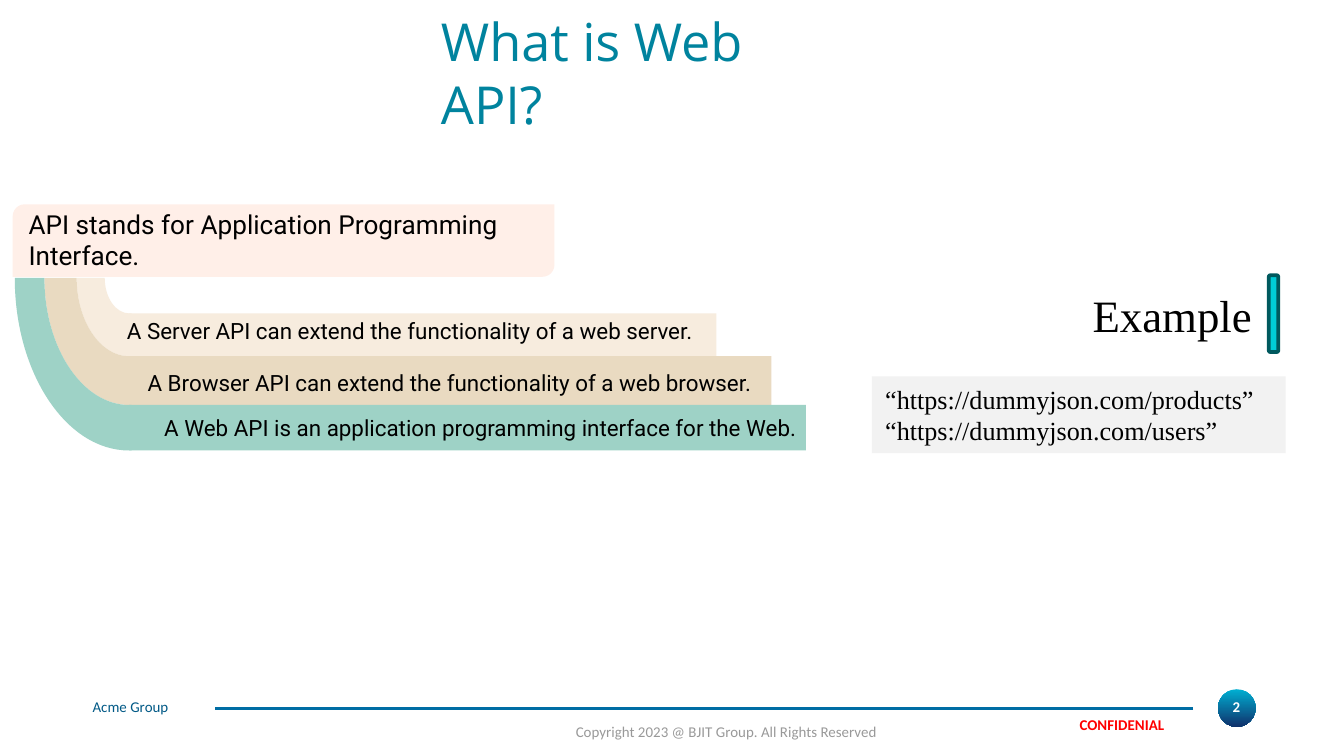
"""Build the slide that explains what a Web API is."""
from lxml.etree import SubElement
from pptx import Presentation
from pptx.dml.color import RGBColor
from pptx.enum.shapes import MSO_CONNECTOR, MSO_SHAPE
from pptx.enum.text import MSO_ANCHOR, MSO_AUTO_SIZE, PP_ALIGN
from pptx.oxml.ns import qn
from pptx.util import Cm, Pt

COLORS = {
    "title": "00839E", "text": "000000", "white": "FFFFFF", "red": "FF0000",
    "gray": "999999", "brand": "005986", "rule": "006DA4", "box": "F2F2F2",
    "cyan": "00CCD7", "edge": "00595E", "peach": "FFD6C4", "cream": "F7ECDE",
    "sand": "E9DAC1", "mint": "9ED2C6", "top": "00AFD2", "bottom": "10316B",
}
RGB = {name: RGBColor.from_string(value) for name, value in COLORS.items()}
LEFT, CENTER, RIGHT, JUSTIFY = PP_ALIGN.LEFT, PP_ALIGN.CENTER, PP_ALIGN.RIGHT, PP_ALIGN.JUSTIFY


def paint(s, color, alpha=None):
    s.shadow.inherit = False
    s.line.fill.background()
    s.fill.solid()
    s.fill.fore_color.rgb = RGB[color]
    if alpha:
        clr = s.fill._xPr.find(qn("a:solidFill"))[0]
        SubElement(clr, qn("a:alpha")).set("val", str(alpha * 1000))
    return s


def write(s, lines, font, size, color, align=LEFT, bold=False, anchor=MSO_ANCHOR.TOP):
    tf = s.text_frame
    frame = {"word_wrap": True, "auto_size": MSO_AUTO_SIZE.NONE, "vertical_anchor": anchor}
    for key, value in frame.items():
        setattr(tf, key, value)
    tf.text = "\n".join(lines)
    for p in tf.paragraphs:
        p.alignment = align
        r = p.runs[0]
        for key, value in {"name": font, "size": Pt(size), "bold": bold}.items():
            setattr(r.font, key, value)
        r.font.color.rgb = RGB[color]
    return tf


prs = Presentation()
prs.slide_width, prs.slide_height = Cm(25.4), Cm(14.28)
slide = prs.slides.add_slide(prs.slide_layouts[5])
shapes = slide.shapes

title = shapes.title
place = {"left": Cm(8.08), "top": Cm(0.05), "width": Cm(8.2), "height": Cm(1.45)}
for key, value in place.items():
    setattr(title, key, value)
write(title, ["What is Web API?"], "Open Sans", 28, "title")

badge = paint(shapes.add_shape(MSO_SHAPE.OVAL, Cm(23.02), Cm(13.02), Cm(0.71), Cm(0.71)), "top")
badge.fill.gradient()
badge.fill.gradient_angle = 270
for stop, name in zip(badge.fill.gradient_stops, ("top", "bottom")):
    stop.color.rgb = RGB[name]

rule = shapes.add_connector(MSO_CONNECTOR.STRAIGHT, Cm(22.55), Cm(13.38), Cm(4.06), Cm(13.38))
rule.line.color.rgb = RGB["rule"]
rule.line.width = Pt(1.5)
SubElement(rule._element.spPr, qn("a:effectLst"))

for text, x, w, color, align, bold in (
    ("2", 23.09, 0.56, "white", CENTER, True),
    ("Acme Group", 1.75, 2.46, "brand", LEFT, False),
):
    s = shapes.add_textbox(Cm(x), Cm(13.18), Cm(w), Cm(0.36))
    tf = write(s, [text], "Calibri", 8, color, align, bold)
    for side in ("left", "top", "right", "bottom"):
        setattr(tf, f"margin_{side}", 0)

s = shapes.add_textbox(Cm(10.58), Cm(13.53), Cm(6.25), Cm(0.61))
tf = write(s, ["Copyright 2023 @ BJIT Group. All Rights Reserved"], "Calibri", 8, "gray", RIGHT)
tf.word_wrap = False

s = shapes.add_shape(MSO_SHAPE.ROUNDED_RECTANGLE, Cm(19.87), Cm(13.56), Cm(2.67), Cm(0.25))
paint(s, "white", 57)
write(s, ["CONFIDENIAL"], "Calibri", 8, "red", CENTER, True, MSO_ANCHOR.MIDDLE)

s = paint(shapes.add_shape(MSO_SHAPE.RECTANGLE, Cm(16.48), Cm(7.11), Cm(7.82), Cm(1.45)), "box")
urls = ["“https://dummyjson.com/products”", "“https://dummyjson.com/users”"]
write(s, urls, "Times New Roman", 14, "text", JUSTIFY)
s = shapes.add_textbox(Cm(20.4), Cm(5.31), Cm(3.58), Cm(1.27))
write(s, ["Example"], "Times New Roman", 24, "text")
s = shapes.add_shape(MSO_SHAPE.ROUNDED_RECTANGLE, Cm(23.98), Cm(5.2), Cm(0.18), Cm(1.45))
paint(s, "cyan")
s.line.color.rgb = RGB["edge"]
s.line.width = Pt(2)

cx, cy, end, k = 2.44, 5.25, 2.49, 0.55
edges = [(1.98, 5.92), (1.45, 6.73), (0.84, 7.65), (0.28, 8.51)]
curves = [
    [(x, cy), (x, cy + k * (y - cy)), (cx - k * (cx - x), y), (cx, y), (end, y)]
    for x, y in edges
]
bands = [
    ("cream", 13.54, "A Server API can extend the functionality of a web server.", 2.15, 5.87, 11.38, LEFT),
    ("sand", 14.58, "A Browser API can extend the functionality of a web browser.", 2.54, 6.85, 12.04, LEFT),
    ("mint", 15.23, "A Web API is an application programming interface for the Web.", 2.72, 7.7, 12.73, CENTER),
]
for i, (color, right, text, x, y, w, align) in enumerate(bands):
    inner, outer = curves[i], curves[i + 1]
    points = [(Cm(px), Cm(py)) for px, py in outer + inner[::-1]]
    builder = shapes.build_freeform(*points[0])
    builder.add_line_segments(points[1:])
    elbow = paint(builder.convert_to_shape(), color)
    segments = list(elbow._element.iter(qn("a:lnTo")))
    for first in (0, 6):
        head, *rest = segments[first:first + 3]
        head.tag = qn("a:cubicBezTo")
        for segment in rest:
            head.append(segment[0])
            segment.getparent().remove(segment)
    top, bottom = edges[i][1], edges[i + 1][1]
    bar = shapes.add_shape(MSO_SHAPE.RECTANGLE, Cm(cx), Cm(top), Cm(right - cx), Cm(bottom - top))
    paint(bar, color)
    s = shapes.add_textbox(Cm(x), Cm(y), Cm(w), Cm(0.76))
    write(s, [text], "Roboto", 12, "text", align)

s = shapes.add_shape(MSO_SHAPE.ROUND_2_DIAG_RECTANGLE, Cm(0.24), Cm(3.86), Cm(10.24), Cm(1.37))
paint(s, "peach", 39)
s = shapes.add_textbox(Cm(0.29), Cm(3.81), Cm(10.85), Cm(0.79))
write(s, ["API stands for Application Programming Interface."], "Roboto", 14, "text")

prs.save("out.pptx")
